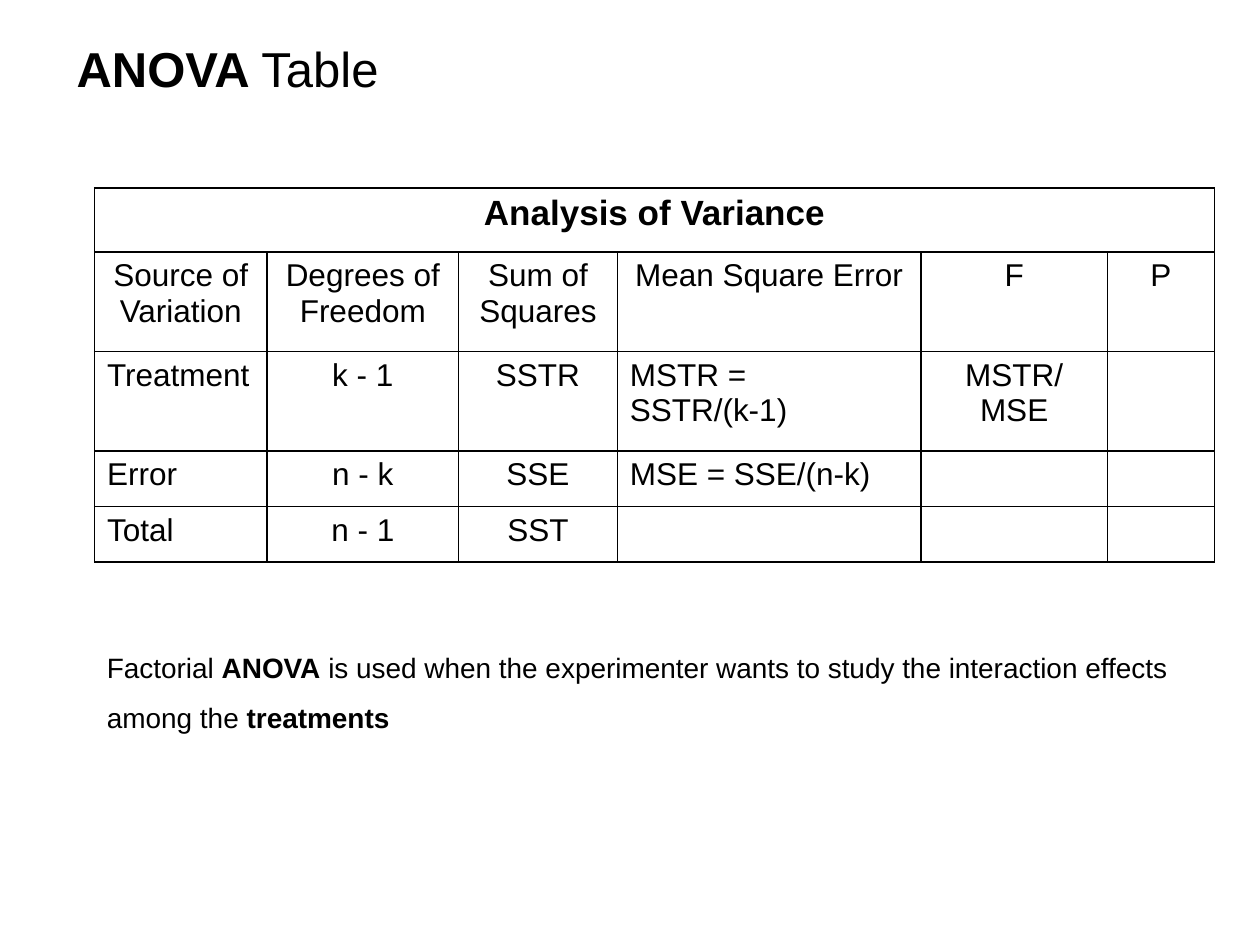
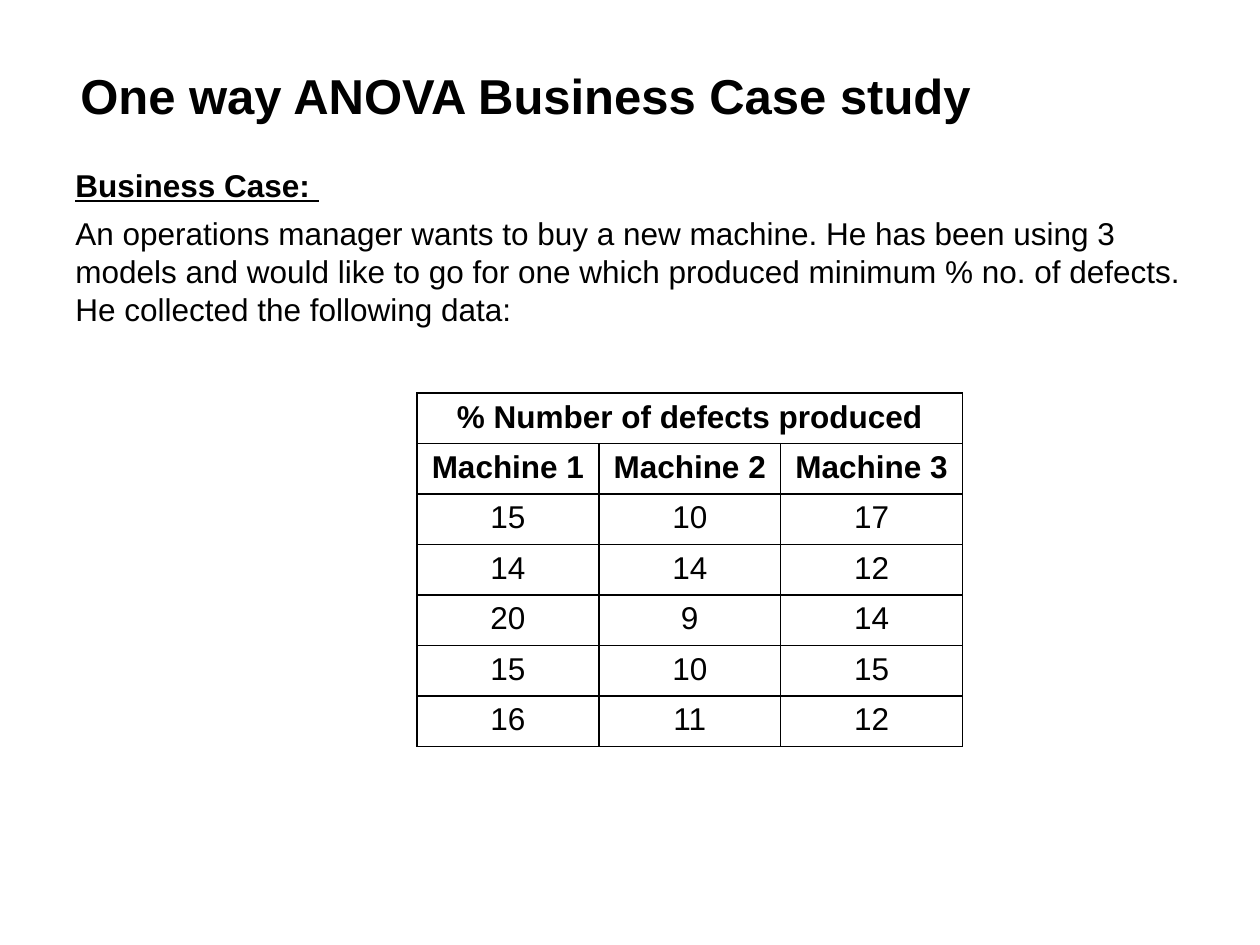
from dataclasses import dataclass
from typing import NamedTuple

from lxml.etree import SubElement
from pptx import Presentation
from pptx.dml.color import RGBColor
from pptx.enum.text import MSO_AUTO_SIZE, PP_ALIGN
from pptx.oxml.ns import qn
from pptx.slide import Slide
from pptx.table import _Cell
from pptx.text.text import _Paragraph
from pptx.util import Inches, Pt

INK = RGBColor(0x00, 0x00, 0x00)
FONT = "Arial"
TITLE_SIZE, HEADING_SIZE, BODY_SIZE, NOTE_SIZE = 28, 20, 18, 16
BORDER_WIDTH = Pt(1)

SLIDE_WIDTH, SLIDE_HEIGHT = Inches(10), Inches(7.5)
COLUMN = SLIDE_WIDTH // 100
ROW = SLIDE_HEIGHT // 75


class Area(NamedTuple):
    left: float
    top: float
    width: float
    height: float

    def lengths(self) -> tuple[int, int, int, int]:
        return (round(self.left * COLUMN), round(self.top * ROW),
                round(self.width * COLUMN), round(self.height * ROW))


class Phrase(NamedTuple):
    text: str
    bold: bool = False
    underline: bool = False


@dataclass(frozen=True)
class Passage:
    area: Area
    paragraphs: list[list[Phrase]]
    size: int
    line_spacing: float | None = None
    space_after: int = 0


@dataclass(frozen=True)
class Grid:
    left: float
    top: float
    column_widths: list[float]
    row_heights: list[float]
    heading: str
    heading_size: int
    rows: list[list[str]]
    bold_header: bool = False
    left_aligned: frozenset[int] = frozenset()

    def area(self) -> Area:
        return Area(self.left, self.top, sum(self.column_widths), sum(self.row_heights))


def style_runs(paragraph: _Paragraph, size: int, bold: bool) -> None:
    for run in paragraph.runs:
        run.font.name = FONT
        run.font.size = Pt(size)
        run.font.bold = bold
        run.font.color.rgb = INK


def draw_passage(slide: Slide, passage: Passage) -> None:
    frame = slide.shapes.add_textbox(*passage.area.lengths()).text_frame
    frame.word_wrap = True
    frame.auto_size = MSO_AUTO_SIZE.SHAPE_TO_FIT_TEXT
    for index, phrases in enumerate(passage.paragraphs):
        paragraph = frame.add_paragraph() if index else frame.paragraphs[0]
        paragraph.line_spacing = passage.line_spacing
        paragraph.space_after = Pt(passage.space_after)
        for phrase in phrases:
            paragraph.add_run().text = phrase.text
        style_runs(paragraph, passage.size, False)
        for run, phrase in zip(paragraph.runs, phrases):
            run.font.bold = phrase.bold
            run.font.underline = phrase.underline


def outline_cell(cell: _Cell) -> None:
    properties = cell._tc.get_or_add_tcPr()
    for side in ("lnL", "lnR", "lnT", "lnB"):
        border = SubElement(properties, qn(f"a:{side}"), w=str(BORDER_WIDTH))
        ink = SubElement(border, qn("a:solidFill"))
        SubElement(ink, qn("a:srgbClr"), val=str(INK))
    cell.fill.background()


def write_cell(cell: _Cell, text: str, size: int, bold: bool, align: PP_ALIGN) -> None:
    cell.text_frame.text = text
    paragraph = cell.text_frame.paragraphs[0]
    paragraph.alignment = align
    paragraph.font.size = Pt(size)
    style_runs(paragraph, size, bold)


def draw_grid(slide: Slide, grid: Grid) -> None:
    table = slide.shapes.add_table(
        len(grid.row_heights), len(grid.column_widths), *grid.area().lengths()).table
    table.first_row = table.horz_banding = False
    for column, width in zip(table.columns, grid.column_widths):
        column.width = round(width * COLUMN)
    for row, height in zip(table.rows, grid.row_heights):
        row.height = round(height * ROW)
    for cell in table.iter_cells():
        outline_cell(cell)

    heading = table.cell(0, 0)
    heading.merge(table.cell(0, len(grid.column_widths) - 1))
    write_cell(heading, grid.heading, grid.heading_size, True, PP_ALIGN.CENTER)
    for r, texts in enumerate(grid.rows, start=1):
        header = r == 1
        for c, text in enumerate(texts):
            to_left = c in grid.left_aligned and not header
            write_cell(table.cell(r, c), text, BODY_SIZE, header and grid.bold_header,
                       PP_ALIGN.LEFT if to_left else PP_ALIGN.CENTER)


ANOVA_TITLE = Passage(
    Area(5.1, 2.6, 59.9, 5.7),
    [[Phrase("ANOVA ", bold=True), Phrase("Table")]],
    TITLE_SIZE,
)
ANOVA_GRID = Grid(
    left=7.5, top=14.9,
    column_widths=[13.7, 15.2, 12.6, 24.1, 14.8, 8.5],
    row_heights=[5.1, 7.9, 7.9, 4.4, 4.4],
    heading="Analysis of Variance",
    heading_size=HEADING_SIZE,
    rows=[
        ["Source of Variation", "Degrees of Freedom", "Sum of Squares",
         "Mean Square Error", "F", "P"],
        ["Treatment", "k - 1", "SSTR", "MSTR = SSTR/(k-1)", "MSTR/MSE", ""],
        ["Error", "n - k", "SSE", "MSE = SSE/(n-k)", "", ""],
        ["Total", "n - 1", "SST", "", "", ""],
    ],
    left_aligned=frozenset({0, 3}),
)
FACTORIAL_NOTE = Passage(
    Area(7.5, 49.8, 88.8, 8.6),
    [[
        Phrase("Factorial "),
        Phrase("ANOVA", bold=True),
        Phrase(" is used when the experimenter wants to study the interaction "
               "effects among the "),
        Phrase("treatments", bold=True),
    ]],
    NOTE_SIZE,
    line_spacing=1.5,
)

CASE_TITLE = Passage(
    Area(5.4, 4.7, 80.3, 5.7),
    [[Phrase("One way ANOVA Business Case study", bold=True)]],
    TITLE_SIZE,
)
BUSINESS_CASE = Passage(
    Area(5, 12.7, 92.2, 14),
    [
        [Phrase("Business Case: ", bold=True, underline=True)],
        [Phrase("An operations manager wants to buy a new machine. He has been using 3 "
                "models and would like to go for one which produced minimum % no. of "
                "defects. He collected the following data:")],
    ],
    BODY_SIZE,
    space_after=6,
)
DEFECTS_GRID = Grid(
    left=33.1, top=31.2,
    column_widths=[14.43] * 3,
    row_heights=[4] * 7,
    heading="% Number of defects produced",
    heading_size=BODY_SIZE,
    rows=[
        ["Machine 1", "Machine 2", "Machine 3"],
        ["15", "10", "17"],
        ["14", "14", "12"],
        ["20", "9", "14"],
        ["15", "10", "15"],
        ["16", "11", "12"],
    ],
    bold_header=True,
)

PAGES = [
    ([ANOVA_TITLE, FACTORIAL_NOTE], ANOVA_GRID),
    ([CASE_TITLE, BUSINESS_CASE], DEFECTS_GRID),
]


def main() -> None:
    deck = Presentation()
    deck.slide_width, deck.slide_height = SLIDE_WIDTH, SLIDE_HEIGHT
    for passages, grid in PAGES:
        slide = deck.slides.add_slide(deck.slide_layouts[6])
        for passage in passages:
            draw_passage(slide, passage)
        draw_grid(slide, grid)
    deck.save("out.pptx")


if __name__ == "__main__":
    main()
